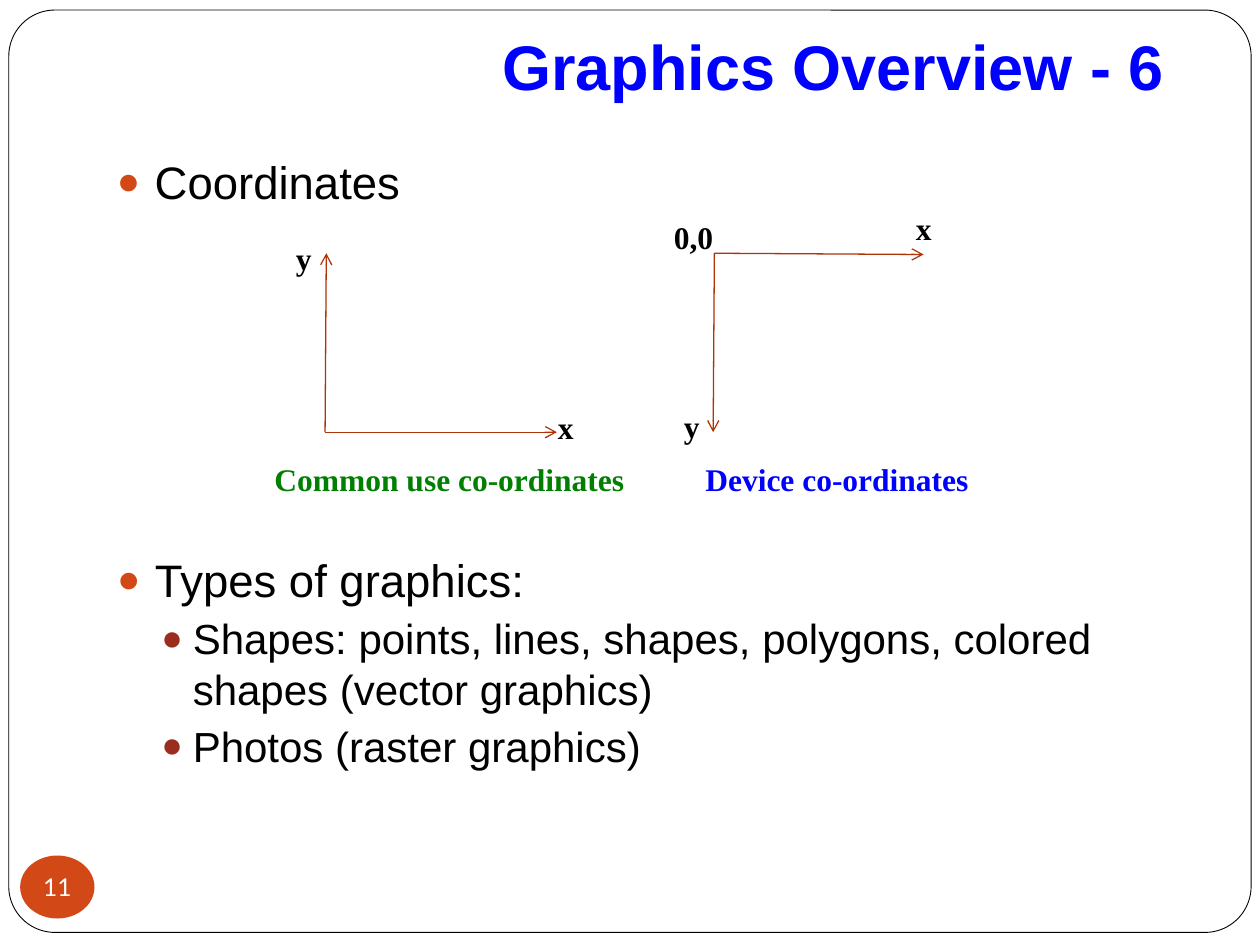
"""Builds the slide on graphics coordinates and types of graphics."""
from lxml import etree
from pptx import Presentation
from pptx.dml.color import RGBColor
from pptx.enum.shapes import MSO_CONNECTOR, MSO_SHAPE
from pptx.enum.text import MSO_ANCHOR as ANCHOR, MSO_AUTO_SIZE as AUTO_SIZE, PP_ALIGN as ALIGN
from pptx.oxml.ns import qn
from pptx.util import Inches, Pt

COLORS = {
    "white": "FFFFFF", "black": "000000", "blue": "0000FF", "green": "008000",
    "orange": "D34817", "brick": "9B2D1F", "axis": "AF3408",
}


def format_text(para, size, color, face, bold=False):
    for span in para.runs:
        span.font.size = Pt(size)
        span.font.name = face
        span.font.bold = bold
        span.font.color.rgb = RGBColor.from_string(COLORS[color])


def fill_list(frame, items):
    frame.word_wrap = True
    frame.auto_size = AUTO_SIZE.NONE
    frame.text = "\n".join(text for text, level in items)
    for para, (text, level) in zip(frame.paragraphs, items):
        margin, indent, size, gap, bullet = LEVELS[level]
        para.level = level
        props = para._p.get_or_add_pPr()
        props.set("marL", str(Inches(margin)))
        props.set("indent", str(Inches(-indent)))
        bullet_color = etree.SubElement(props, qn("a:buClr"))
        etree.SubElement(bullet_color, qn("a:srgbClr"), val=COLORS[bullet])
        etree.SubElement(props, qn("a:buSzPct"), val="85000")
        etree.SubElement(props, qn("a:buFont"), typeface="Arial")
        etree.SubElement(props, qn("a:buChar"), char="●")
        para.space_before = Pt(gap)
        format_text(para, size, "black", "Arial")
    frame.paragraphs[0].space_before = Pt(0)


LEVELS = [(0.3, 0.3, 26, 5.8, "orange"), (0.6, 0.25, 24, 3.7, "brick")]

deck = Presentation()
deck.slide_width, deck.slide_height = Inches(10), Inches(7.5)
page = deck.slides.add_slide(deck.slide_layouts[1])

frame = page.shapes.add_shape(
    MSO_SHAPE.ROUNDED_RECTANGLE, Inches(0.07), Inches(0.08), Inches(9.86), Inches(7.32))
frame.adjustments[0] = 0.05
frame.shadow.inherit = False
frame.fill.solid()
frame.fill.fore_color.rgb = RGBColor.from_string(COLORS["white"])
frame.line.color.rgb = RGBColor.from_string(COLORS["black"])
frame.line.width = Pt(0.5)
page.shapes._spTree.insert(2, frame._element)

title = page.shapes.title
title.left, title.top, title.width, title.height = map(Inches, (0.92, 0.17, 8.42, 0.75))
title.text_frame.text = "Graphics Overview - 6"
title.text_frame.auto_size = AUTO_SIZE.NONE
title.text_frame.vertical_anchor = ANCHOR.BOTTOM
title.text_frame.margin_bottom = Inches(0.1)
title.text_frame.paragraphs[0].alignment = ALIGN.RIGHT
format_text(title.text_frame.paragraphs[0], 36, "blue", "Arial", True)

body = page.placeholders[1]
body.left, body.top, body.width, body.height = map(Inches, (0.83, 4.33, 8.5, 2))
fill_list(body.text_frame, [
    ("Types of graphics:", 0),
    ("Shapes: points, lines, shapes, polygons, colored shapes (vector graphics)", 1),
    ("Photos (raster graphics)", 1),
])

heading = page.shapes.add_textbox(Inches(0.83), Inches(1.17), Inches(2.5), Inches(0.58))
fill_list(heading.text_frame, [("Coordinates", 0)])

badge = page.shapes.add_shape(
    MSO_SHAPE.OVAL, Inches(0.16), Inches(6.79), Inches(0.59), Inches(0.5))
badge.shadow.inherit = False
badge.fill.solid()
badge.fill.fore_color.rgb = RGBColor.from_string(COLORS["orange"])
badge.line.fill.background()
label = badge.text_frame
label.margin_left = label.margin_right = label.margin_top = label.margin_bottom = 0
label.word_wrap = False
label.vertical_anchor = ANCHOR.MIDDLE
label.text = "11"
label.paragraphs[0].alignment = ALIGN.CENTER
format_text(label.paragraphs[0], 14, "white", "Lato")

diagram = page.shapes.add_group_shape()
for ends in [
    (2.58, 3.43, 2.59, 2.01),
    (2.58, 3.43, 4.42, 3.43),
    (5.67, 2.01, 5.66, 3.43),
    (5.67, 2.01, 7.33, 2.02),
]:
    axis = diagram.shapes.add_connector(MSO_CONNECTOR.STRAIGHT, *map(Inches, ends))
    axis.line.color.rgb = RGBColor.from_string(COLORS["axis"])
    axis.line.width = Pt(0.75)
    etree.SubElement(axis.line._get_or_add_ln(), qn("a:tailEnd"), type="arrow")
    etree.SubElement(axis._element.spPr, qn("a:effectLst"))

for text, left, top, width, height, color in [
    ("Common use co-ordinates", 2.08, 3.6, 3.08, 0.7, "green"),
    ("Device co-ordinates", 5.5, 3.6, 2.42, 0.7, "blue"),
    ("0,0", 5.25, 1.68, 0.58, 0.4, "black"),
    ("y", 5.33, 3.18, 0.5, 0.4, "black"),
    ("x", 7.17, 1.61, 0.5, 0.4, "black"),
    ("x", 4.33, 3.19, 0.5, 0.4, "black"),
    ("y", 2.25, 1.85, 0.5, 0.4, "black"),
]:
    box = diagram.shapes.add_textbox(*map(Inches, (left, top, width, height)))
    box.text_frame.word_wrap = True
    box.text_frame.text = text
    format_text(box.text_frame.paragraphs[0], 18, color, "Times New Roman", True)

deck.save("out.pptx")
